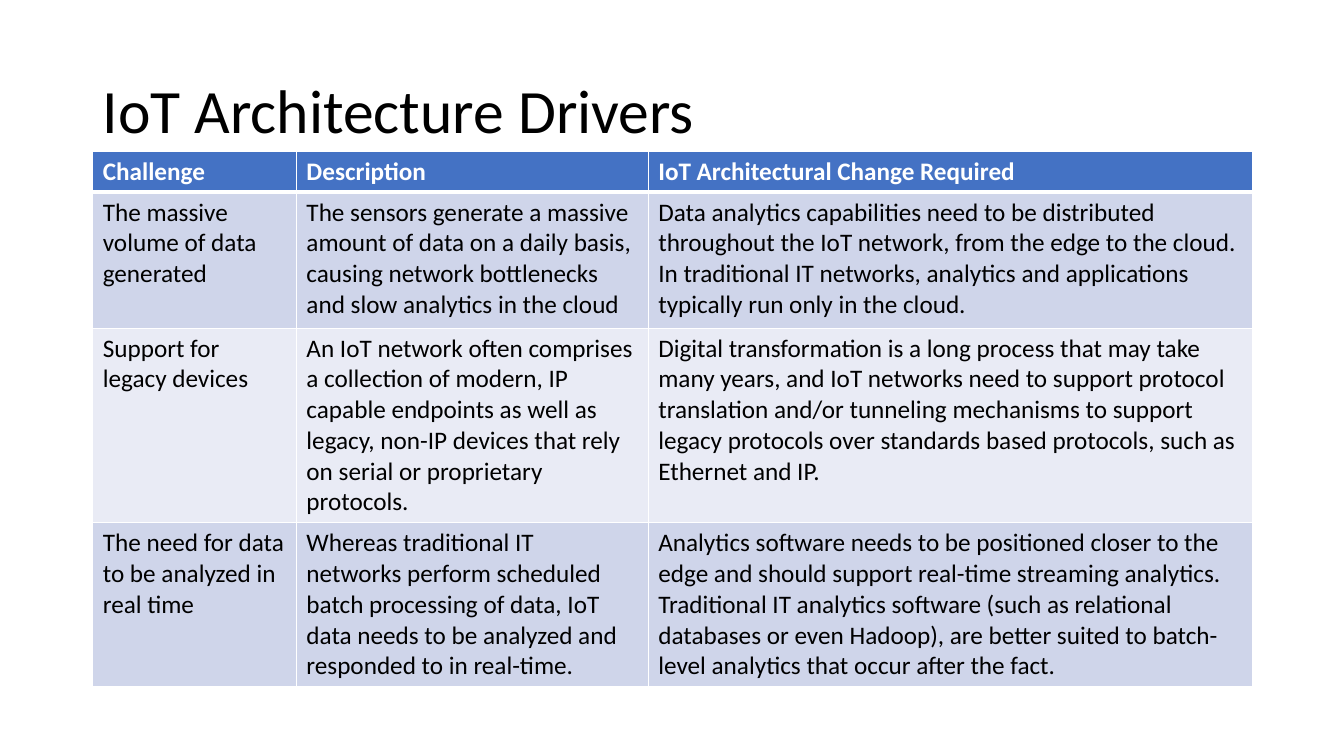
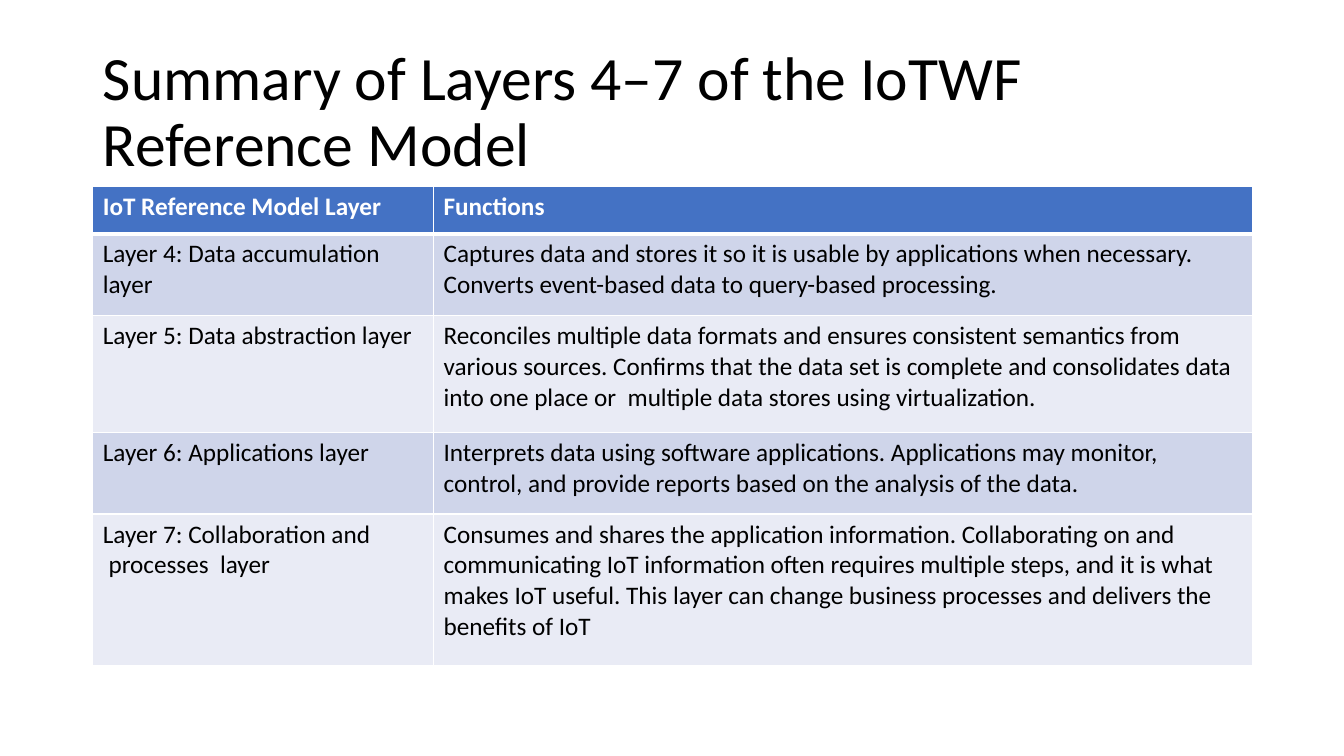
from lxml.etree import SubElement as Sub
from pptx import Presentation as Deck
from pptx.dml.color import RGBColor as RGB
from pptx.enum.text import MSO_ANCHOR as Anchor, MSO_AUTO_SIZE as Fit, PP_ALIGN as Align
from pptx.oxml.ns import qn
from pptx.util import Inches, Pt

WHITE = RGB(0xFF, 0xFF, 0xFF)
BLACK = RGB(0x00, 0x00, 0x00)
BLUE = RGB(0x44, 0x72, 0xC4)
BANDS = RGB(0xCF, 0xD5, 0xEA), RGB(0xE9, 0xEB, 0xF5)

LEFT, WIDTH = Inches(0.92), Inches(11.5)
FONT = {"name": "Calibri", "size": Pt(18), "bold": False}
HEAD = {**FONT, "bold": True}
TITLE = {**FONT, "size": Pt(44)}
BOX = {"left": LEFT, "top": Inches(0.4), "width": WIDTH, "height": Inches(1.45)}
FRAME = {"word_wrap": True, "auto_size": Fit.NONE, "vertical_anchor": Anchor.MIDDLE}

DRIVERS = [
    ["Challenge", "Description", "IoT Architectural Change Required"],
    ["The massive\nvolume of data generated",
     "The sensors generate a massive\namount of data on a daily basis,\n"
     "causing network bottlenecks\nand slow analytics in the cloud",
     "Data analytics capabilities need to be distributed throughout the IoT network, "
     "from the edge to the cloud. In traditional IT networks, analytics and applications\n"
     "typically run only in the cloud."],
    ["Support for legacy devices",
     "An IoT network often comprises a collection of modern, IP capable endpoints "
     "as well as legacy, non-IP devices that rely on serial or proprietary protocols.",
     "Digital transformation is a long process that may take many years, and IoT networks "
     "need to support protocol translation and/or tunneling mechanisms to support legacy "
     "protocols over standards based protocols, such as Ethernet and IP."],
    ["The need for data to be analyzed in\nreal time",
     "Whereas traditional IT\nnetworks perform scheduled\nbatch processing of data, IoT\n"
     "data needs to be analyzed and\nresponded to in real-time.",
     "Analytics software needs to be positioned closer to the edge and should support "
     "real-time streaming analytics.\n"
     "Traditional IT analytics software (such as relational databases or even Hadoop), "
     "are better suited to batch-level analytics that occur after the fact."],
]
LAYERS = [
    ["IoT Reference Model Layer", "Functions"],
    ["Layer 4: Data accumulation\nlayer",
     "Captures data and stores it so it is usable by applications when necessary. "
     "Converts event-based data to query-based processing."],
    ["Layer 5: Data abstraction layer",
     "Reconciles multiple data formats and ensures consistent semantics from various "
     "sources. Confirms that the data set is complete and consolidates data into one "
     "place or  multiple data stores using virtualization."],
    ["Layer 6: Applications layer",
     "Interprets data using software applications. Applications may monitor, control, "
     "and provide reports based on the analysis of the data."],
    ["Layer 7: Collaboration and\n processes  layer",
     "Consumes and shares the application information. Collaborating on and communicating "
     "IoT information often requires multiple steps, and it is what makes IoT useful. "
     "This layer can change business processes and delivers the\nbenefits of IoT"],
]


def put(item, values):
    for name, value in values.items():
        setattr(item, name, value)


def style(frame, look, color):
    for para in frame.paragraphs:
        para.alignment = Align.LEFT
        put(para.font, look)
        para.font.color.rgb = color


def add_slide(deck, text):
    slide = deck.slides.add_slide(deck.slide_layouts[5])
    title = slide.shapes.title
    put(title, BOX)
    title.text_frame.text = text
    put(title.text_frame, FRAME)
    style(title.text_frame, TITLE, BLACK)
    title.text_frame.paragraphs[0].line_spacing = 0.9
    return slide


def edge(cell, row):
    props = cell._tc.get_or_add_tcPr()
    sides = {"L": 1, "R": 1, "T": 3 if row == 1 else 1, "B": 3 if row == 0 else 1}
    for side, width in sides.items():
        line = Sub(props, qn(f"a:ln{side}"), w=str(Pt(width)))
        Sub(Sub(line, qn("a:solidFill")), qn("a:srgbClr"), val=str(WHITE))


def add_grid(slide, top, cols, rows, data):
    table = slide.shapes.add_table(len(rows), len(cols), LEFT, Inches(top),
                                   WIDTH, Inches(sum(rows))).table
    for col, width in zip(table.columns, cols):
        col.width = Inches(width)
    for r, (height, texts) in enumerate(zip(rows, data)):
        table.rows[r].height = Inches(height)
        for c, text in enumerate(texts):
            cell = table.cell(r, c)
            cell.text = text
            style(cell.text_frame, FONT if r else HEAD, BLACK if r else WHITE)
            edge(cell, r)
            cell.fill.solid()
            cell.fill.fore_color.rgb = BANDS[(r - 1) % 2] if r else BLUE


def main():
    deck = Deck()
    put(deck, {"slide_width": Inches(13.33), "slide_height": Inches(7.5)})
    slide = add_slide(deck, "IoT Architecture Drivers")
    add_grid(slide, 1.5, [2.02, 3.49, 5.99], [0.38, 1.35, 1.82, 1.61], DRIVERS)
    slide = add_slide(deck, "Summary of Layers 4–7 of the IoTWF Reference Model")
    add_grid(slide, 1.85, [3.38, 8.12], [0.47, 0.81, 1.16, 0.81, 1.5], LAYERS)
    deck.save("out.pptx")


if __name__ == "__main__":
    main()
